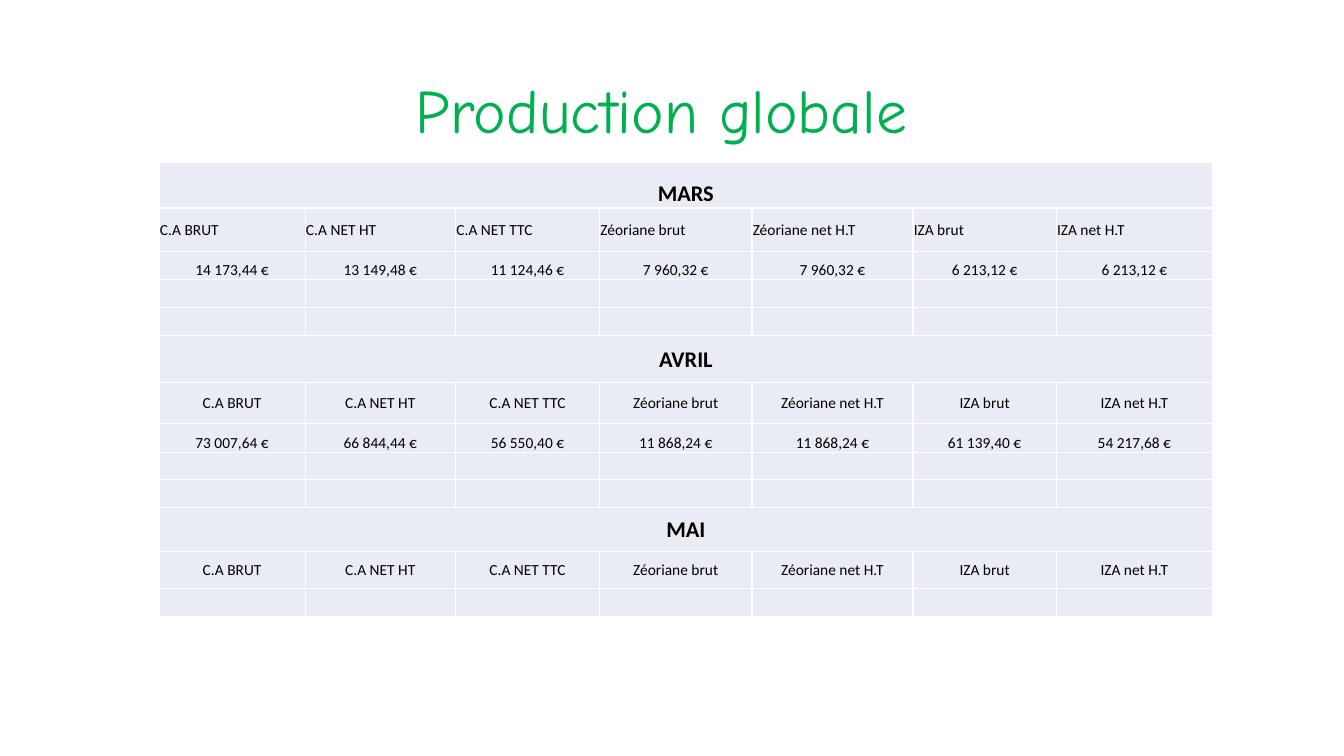
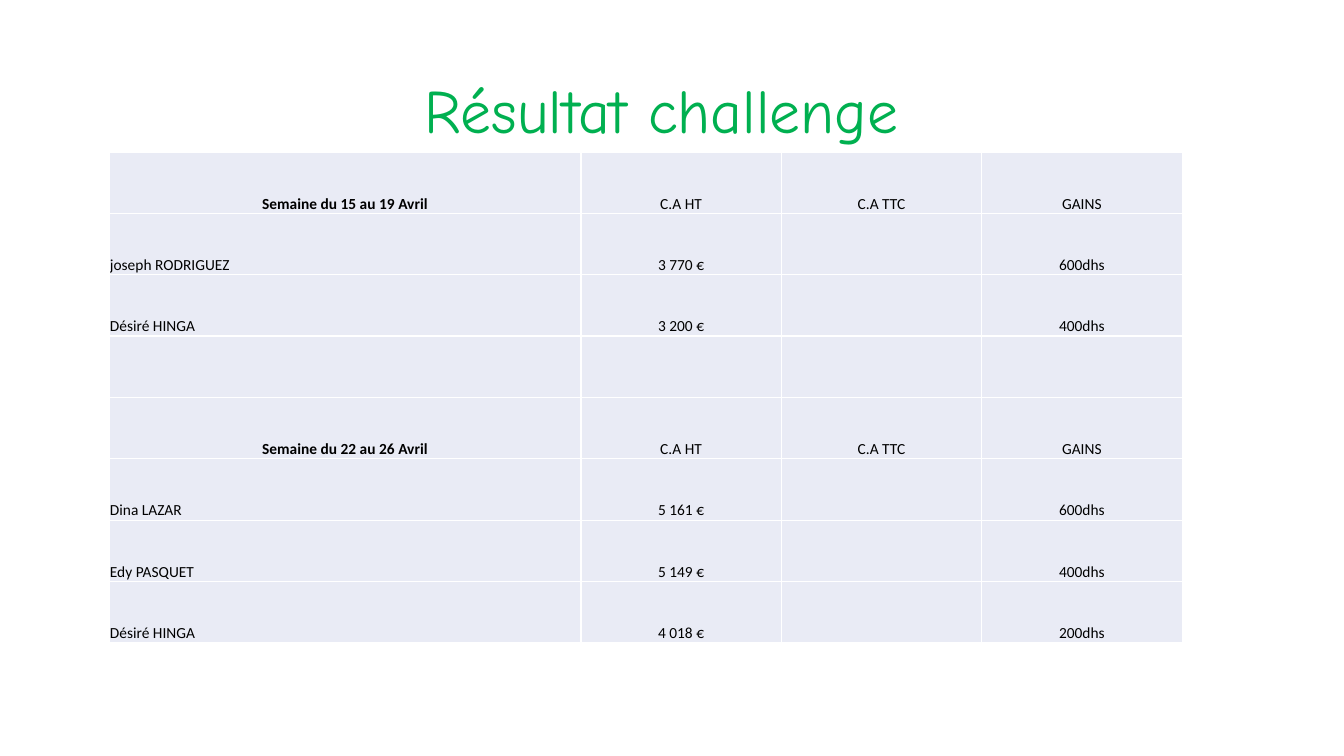
from dataclasses import dataclass

import lxml.etree
import pptx
import pptx.dml.color
import pptx.enum.text
import pptx.oxml.ns
import pptx.presentation
import pptx.slide
import pptx.table
import pptx.util
from pptx.util import Cm

ALIGN = pptx.enum.text.PP_ALIGN
ANCHOR = pptx.enum.text.MSO_ANCHOR

GREEN = "00B050"
BLACK = "000000"
WHITE = "FFFFFF"
PALE_BLUE = "E9EBF5"
TITLE_FONT = "Comic Neue"
TABLE_FONT = "Calibri"
BODY_SIZE = 11
MONTH_SIZE = 16

MEASURES = ("C.A BRUT", "C.A NET HT", "C.A NET TTC", "Zéoriane brut",
            "Zéoriane net H.T", "IZA brut", "IZA net H.T")
MEASURE_WIDTHS = (3.68, 3.79, 3.63, 3.84, 4.06, 3.61, 3.94)

RESULT_HEADS = ("C.A HT", "C.A TTC", "GAINS")
RESULT_WIDTHS = (11.89, 5.05, 5.05, 5.05)
RESULTS_HEIGHT = 12.37


@dataclass(frozen=True)
class CellStyle:
    align: ALIGN = ALIGN.CENTER
    anchor: ANCHOR = ANCHOR.BOTTOM
    size: int = BODY_SIZE
    bold: bool = False


@dataclass(frozen=True)
class Month:
    """Row heights run in order: name, labels, figures, then empty rows."""
    name: str
    heights: tuple[float, ...]
    figures: tuple[str, ...] = ()
    name_anchor: ANCHOR = ANCHOR.MIDDLE
    label_align: ALIGN = ALIGN.CENTER


@dataclass(frozen=True)
class Result:
    seller: str
    turnover: str
    gain: str


@dataclass(frozen=True)
class Week:
    name: str
    results: tuple[Result, ...]


FIGURE = CellStyle()
SELLER = CellStyle(align=ALIGN.LEFT)
WEEK_NAME = CellStyle(bold=True)

MONTHS = (
    Month("MARS", (1.16, 1.09, 0.72, 0.69, 0.72),
          ("14 173,44 €", "13 149,48 €", "11 124,46 €", "7 960,32 €",
           "7 960,32 €", "6 213,12 €", "6 213,12 €"),
          name_anchor=ANCHOR.BOTTOM, label_align=ALIGN.LEFT),
    Month("AVRIL", (1.18, 1.04, 0.72, 0.69, 0.71),
          ("73 007,64 €", "66 844,44 €", "56 550,40 €", "11 868,24 €",
           "11 868,24 €", "61 139,40 €", "54 217,68 €")),
    Month("MAI", (1.1, 0.93, 0.71)),
)

WEEKS = (
    Week("Semaine du 15 au 19 Avril", (
        Result("joseph RODRIGUEZ", "3 770 €", "600dhs"),
        Result("Désiré HINGA", "3 200 €", "400dhs"))),
    Week("Semaine du 22 au 26 Avril", (
        Result("Dina LAZAR", "5 161 €", "600dhs"),
        Result("Edy PASQUET", "5 149 €", "400dhs"),
        Result("Désiré HINGA", "4 018 €", "200dhs"))),
)


def rgb(value: str) -> pptx.dml.color.RGBColor:
    return pptx.dml.color.RGBColor.from_string(value)


def add_titled_slide(deck: pptx.presentation.Presentation,
                     heading: str) -> pptx.slide.Slide:
    slide = deck.slides.add_slide(deck.slide_layouts[5])
    title = slide.shapes.title
    title.left, title.top = Cm(2.33), Cm(1.01)
    title.width, title.height = Cm(29.21), Cm(3.68)
    title.text_frame.vertical_anchor = ANCHOR.MIDDLE
    title.text_frame.text = heading
    paragraph = title.text_frame.paragraphs[0]
    paragraph.alignment = ALIGN.CENTER
    paragraph.line_spacing = 0.9
    paragraph.font.name = TITLE_FONT
    paragraph.font.size = pptx.util.Pt(44)
    paragraph.font.color.rgb = rgb(GREEN)
    return slide


def add_borders(cell: pptx.table._Cell) -> None:
    """Put white 1 pt lines on all sides, ahead of the fill as the schema asks."""
    properties = cell._tc.get_or_add_tcPr()
    qn = pptx.oxml.ns.qn
    for position, side in enumerate(("a:lnL", "a:lnR", "a:lnT", "a:lnB")):
        line = lxml.etree.Element(qn(side), w=str(pptx.util.Pt(1)))
        fill = lxml.etree.SubElement(line, qn("a:solidFill"))
        lxml.etree.SubElement(fill, qn("a:srgbClr"), val=WHITE)
        properties.insert(position, line)


def add_plain_table(slide: pptx.slide.Slide, left: float, top: float,
                    widths: tuple[float, ...],
                    heights: list[float]) -> pptx.table.Table:
    """Add an empty pale table; all lengths are in centimetres."""
    table = slide.shapes.add_table(
        len(heights), len(widths), Cm(left), Cm(top),
        Cm(sum(widths)), Cm(sum(heights))).table
    table.first_row = False
    table.horz_banding = False
    for column, width in zip(table.columns, widths):
        column.width = Cm(width)
    for row, height in zip(table.rows, heights):
        row.height = Cm(height)
    for cell in table.iter_cells():
        cell.fill.solid()
        cell.fill.fore_color.rgb = rgb(PALE_BLUE)
        cell.margin_left = cell.margin_right = cell.margin_top = Cm(0.02)
        cell.margin_bottom = 0
        add_borders(cell)
        # The end mark sets the line height of an empty cell.
        end_mark = cell.text_frame.paragraphs[0]._p.get_or_add_endParaRPr()
        end_mark.set("sz", str(BODY_SIZE * 100))
    return table


def write_cell(cell: pptx.table._Cell, text: str, style: CellStyle) -> None:
    cell.vertical_anchor = style.anchor
    cell.text_frame.text = text
    paragraph = cell.text_frame.paragraphs[0]
    paragraph.alignment = style.align
    paragraph.font.name = TABLE_FONT
    paragraph.font.size = pptx.util.Pt(style.size)
    paragraph.font.bold = style.bold
    paragraph.font.color.rgb = rgb(BLACK)


def write_row(table: pptx.table.Table, row: int, texts: tuple[str, ...],
              style: CellStyle, first_column: int = 0) -> None:
    for column, text in enumerate(texts, first_column):
        if text:
            write_cell(table.cell(row, column), text, style)


def add_production_slide(deck: pptx.presentation.Presentation) -> None:
    slide = add_titled_slide(deck, "Production globale ")
    heights = [height for month in MONTHS for height in month.heights]
    table = add_plain_table(slide, 4.01, 4.08, MEASURE_WIDTHS, heights)
    row = 0
    for month in MONTHS:
        name_cell = table.cell(row, 0)
        name_cell.merge(table.cell(row, len(MEASURES) - 1))
        write_cell(name_cell, month.name, CellStyle(
            anchor=month.name_anchor, size=MONTH_SIZE, bold=True))
        write_row(table, row + 1, MEASURES, CellStyle(
            align=month.label_align, anchor=ANCHOR.MIDDLE))
        write_row(table, row + 2, month.figures, FIGURE)
        row += len(month.heights)


def add_challenge_slide(deck: pptx.presentation.Presentation) -> None:
    slide = add_titled_slide(deck, "Résultat challenge ")
    # One heading row per week, and one empty row between weeks.
    row_count = sum(len(week.results) + 2 for week in WEEKS) - 1
    heights = [RESULTS_HEIGHT / row_count] * row_count
    table = add_plain_table(slide, 2.75, 3.83, RESULT_WIDTHS, heights)
    row = 0
    for week in WEEKS:
        write_cell(table.cell(row, 0), week.name, WEEK_NAME)
        write_row(table, row, RESULT_HEADS, FIGURE, first_column=1)
        for result_row, result in enumerate(week.results, row + 1):
            write_cell(table.cell(result_row, 0), result.seller, SELLER)
            write_row(table, result_row, (result.turnover, "", result.gain),
                      FIGURE, first_column=1)
        row += len(week.results) + 2


def main() -> None:
    deck = pptx.Presentation()
    deck.slide_width, deck.slide_height = Cm(33.87), Cm(19.05)
    add_production_slide(deck)
    add_challenge_slide(deck)
    deck.save("out.pptx")


if __name__ == "__main__":
    main()
